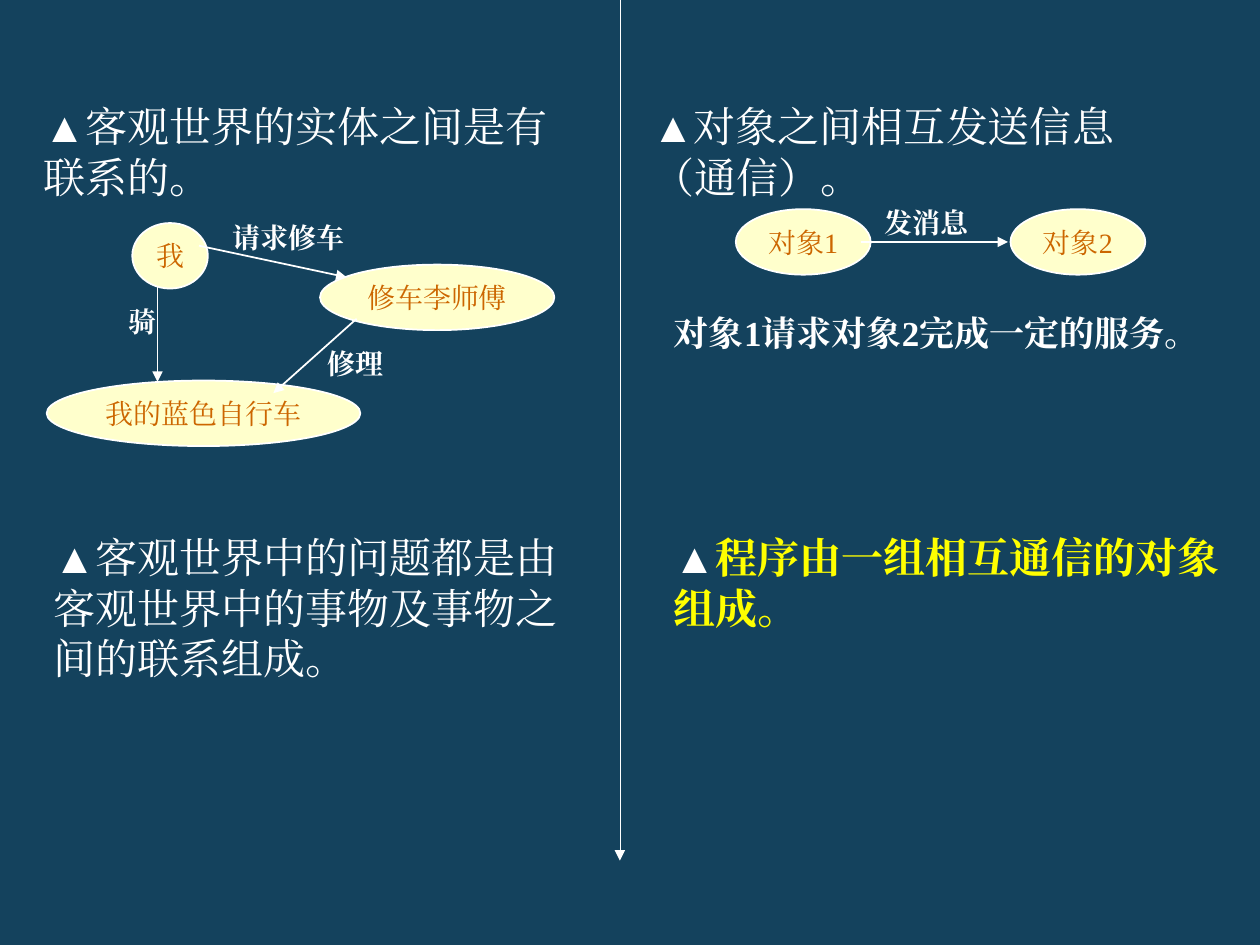
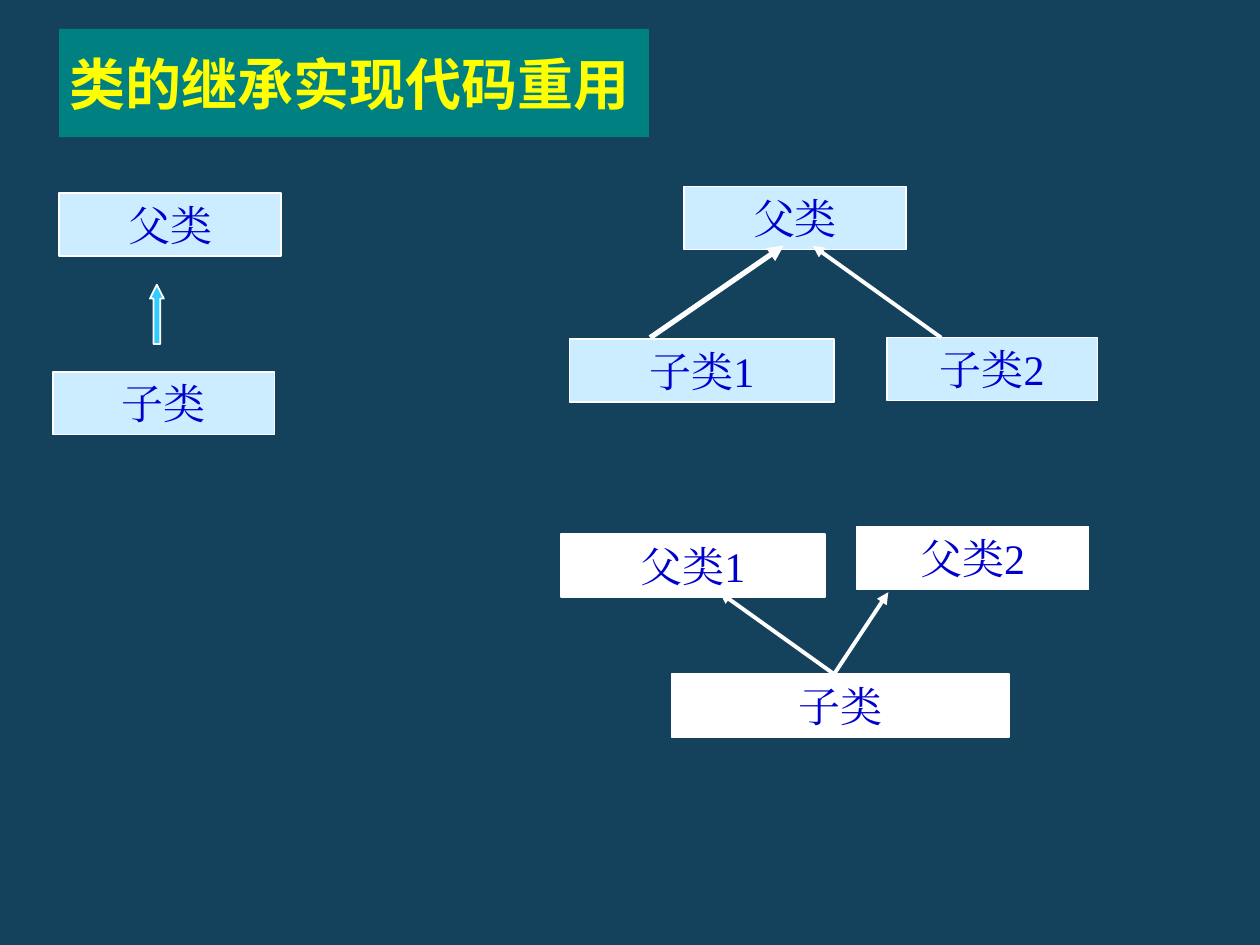
from dataclasses import dataclass

from lxml import etree
from pptx import Presentation
from pptx.dml.color import RGBColor
from pptx.enum.shapes import MSO_CONNECTOR as Connector, MSO_SHAPE as Shape
from pptx.enum.text import MSO_ANCHOR as Anchor, MSO_AUTO_SIZE as AutoSize, PP_ALIGN as Align
from pptx.oxml.ns import qn
from pptx.util import Inches, Pt

NAVY, WHITE, YELLOW, TEAL = "14425D", "FFFFFF", "FFFF00", "008080"
CREAM, ORANGE, PALE, BLUE, CYAN = "FFFFCC", "CC6600", "CCECFF", "0000CC", "33CCFF"
SERIF, SANS = "Times New Roman", "Noto Sans CJK SC"
OVAL_H, BOX_H, LABEL_H, PARENT_W = 0.52, 0.5, 0.37, 1.76


@dataclass
class Node:
    """A captioned oval or box."""
    text: str
    x: float
    y: float
    w: float
    fill: str = PALE


@dataclass
class Arrow:
    """A straight arrow between two points."""
    x1: float
    y1: float
    x2: float
    y2: float
    width: float = 1


@dataclass
class Label:
    """A bold caption on a slide."""
    text: str
    x: float
    y: float
    w: float
    h: float = LABEL_H
    size: float = 16


@dataclass
class Point:
    """A statement led by a triangle."""
    text: str
    x: float
    y: float
    w: float
    h: float
    color: str = WHITE
    bold: bool = False


ENTITIES = [
    Node("我", 1.05, 1.77, 0.6),
    Node("我的蓝色自行车", 0.37, 3.02, 2.49),
    Node("修车李师傅", 2.54, 2.1, 1.86),
    Node("对象1", 5.84, 1.66, 1.07),
    Node("对象2", 8.02, 1.66, 1.07),
]
MESSAGES = [
    Arrow(4.92, 0, 4.92, 6.83, 0.25),
    Arrow(1.25, 2.28, 1.25, 3.03),
    Arrow(1.58, 1.95, 2.75, 2.2),
    Arrow(6.83, 1.92, 8, 1.92),
    Arrow(2.83, 2.53, 2.17, 3.12),
]
LABELS = [
    Label("骑", 0.92, 2.37, 0.5),
    Label("请求修车", 1.75, 1.7, 1.33),
    Label("发消息", 6.92, 1.58, 0.92),
    Label("修理", 2.5, 2.7, 0.92),
    Label("对象1请求对象2完成一定的服务。", 5.25, 2.42, 4.58, 0.44, 20),
]
POINTS = [
    Point("客观世界的实体之间是有联系的。", 0.25, 0.75, 4.42, 0.91),
    Point("对象之间相互发送信息（通信）。", 5.08, 0.75, 4.33, 0.91),
    Point("客观世界中的问题都是由客观世界中的事物及事物之间的联系组成。",
          0.33, 4.17, 4.5, 1.31),
    Point("程序由一组相互通信的对象组成。", 5.25, 4.17, 4.58, 0.91, YELLOW, True),
]
CLASSES = [
    Node("父类", 0.47, 1.53, PARENT_W),
    Node("子类", 0.42, 2.95, PARENT_W),
    Node("父类", 5.43, 1.48, PARENT_W),
    Node("子类1", 4.52, 2.69, 2.1),
    Node("子类2", 7.04, 2.68, 1.67),
    Node("父类1", 4.45, 4.24, 2.1, WHITE),
    Node("父类2", 6.8, 4.18, 1.84, WHITE),
    Node("子类", 5.33, 5.35, 2.68, WHITE),
]
INHERITANCE = [
    Arrow(5.16, 2.68, 6.22, 1.95, 3),
    Arrow(7.47, 2.68, 6.45, 1.95, 2.25),
    Arrow(6.62, 5.35, 5.71, 4.7, 2.25),
    Arrow(6.62, 5.35, 7.05, 4.7, 2.25),
]


def rgb(color: str) -> RGBColor:
    """Turn a hex string into a colour."""
    return RGBColor.from_string(color)


def new_slide(prs):
    """Add a blank slide on the navy background."""
    s = prs.slides.add_slide(prs.slide_layouts[6])
    s.background.fill.solid()
    s.background.fill.fore_color.rgb = rgb(NAVY)
    return s


def style_run(r, size: float, color: str, bold: bool = False, font: str = SERIF) -> None:
    """Format a run, with one typeface for Latin and Chinese."""
    r.font.size = Pt(size)
    r.font.bold = bold
    r.font.color.rgb = rgb(color)
    r.font.name = font
    etree.SubElement(r.font._element, qn("a:ea")).set("typeface", font)


def add_shape(s, kind: Shape, x: float, y: float, w: float, h: float, fill: str, outline: bool = True):
    """Add a filled preset shape without shadow."""
    sp = s.shapes.add_shape(kind, Inches(x), Inches(y), Inches(w), Inches(h))
    sp.shadow.inherit = False
    sp.fill.solid()
    sp.fill.fore_color.rgb = rgb(fill)
    if outline:
        sp.line.color.rgb = rgb(WHITE)
        sp.line.width = Pt(1)
    else:
        sp.line.fill.background()
    return sp


def add_node(s, node: Node, kind: Shape, h: float, size: float, color: str, wrap: bool) -> None:
    """Draw a shape with a centred caption."""
    tf = add_shape(s, kind, node.x, node.y, node.w, h, node.fill).text_frame
    tf.text = node.text
    tf.word_wrap = wrap
    tf.auto_size = AutoSize.SHAPE_TO_FIT_TEXT
    tf.vertical_anchor = Anchor.MIDDLE
    p = tf.paragraphs[0]
    p.alignment = Align.CENTER
    style_run(p.runs[0], size, color)


def add_arrow(s, arrow: Arrow) -> None:
    """Draw a white arrow."""
    line = s.shapes.add_connector(Connector.STRAIGHT, Inches(arrow.x1), Inches(arrow.y1),
                                  Inches(arrow.x2), Inches(arrow.y2))
    line.line.color.rgb = rgb(WHITE)
    line.line.width = Pt(arrow.width)
    etree.SubElement(line.line._get_or_add_ln(), qn("a:tailEnd")).set("type", "triangle")
    etree.SubElement(line._element.spPr, qn("a:effectLst"))


def add_text(s, box: Label | Point, text: str):
    """Add a wrapping text box and return its paragraph."""
    tf = s.shapes.add_textbox(Inches(box.x), Inches(box.y), Inches(box.w), Inches(box.h)).text_frame
    tf.text = text
    tf.word_wrap = True
    tf.auto_size = AutoSize.SHAPE_TO_FIT_TEXT
    return tf.paragraphs[0]


def add_label(s, label: Label) -> None:
    """Draw a bold white caption."""
    style_run(add_text(s, label, label.text).runs[0], label.size, WHITE, True)


def add_point(s, point: Point) -> None:
    """Draw a statement after its triangle."""
    p = add_text(s, point, "▲")
    style_run(p.runs[0], 24, WHITE, True)
    r = p.add_run()
    r.text = point.text
    style_run(r, 24, point.color, point.bold)


def add_title(s, text: str) -> None:
    """Draw the teal title band."""
    tf = add_shape(s, Shape.RECTANGLE, 0.47, 0.23, 4.68, 0.86, TEAL, False).text_frame
    tf.text = text
    tf.word_wrap = True
    tf.vertical_anchor = Anchor.MIDDLE
    tf.margin_left = tf.margin_right = Inches(0.08)
    tf.margin_top = tf.margin_bottom = Inches(0.04)
    p = tf.paragraphs[0]
    p.alignment = Align.LEFT
    style_run(p.runs[0], 32, YELLOW, True, SANS)


def build_messages(prs) -> None:
    """Compare real-world relations with messages between objects."""
    s = new_slide(prs)
    for node in ENTITIES:
        node.fill = CREAM
        add_node(s, node, Shape.OVAL, OVAL_H, 16, ORANGE, False)
    for arrow in MESSAGES:
        add_arrow(s, arrow)
    for label in LABELS:
        add_label(s, label)
    for point in POINTS:
        add_point(s, point)


def build_inheritance(prs) -> None:
    """Show single, shared and multiple inheritance."""
    s = new_slide(prs)
    for node in CLASSES:
        add_node(s, node, Shape.RECTANGLE, BOX_H, 24, BLUE, True)
    up = add_shape(s, Shape.UP_ARROW, 1.19, 2.26, 0.11, 0.47, CYAN)
    up.adjustments[0], up.adjustments[1] = 0.5, 1
    for arrow in INHERITANCE:
        add_arrow(s, arrow)
    add_title(s, "类的继承实现代码重用")


def main() -> None:
    """Build and save the two slides."""
    prs = Presentation()
    prs.slide_width, prs.slide_height = Inches(10), Inches(7.5)
    build_messages(prs)
    build_inheritance(prs)
    prs.save("out.pptx")


if __name__ == "__main__":
    main()
